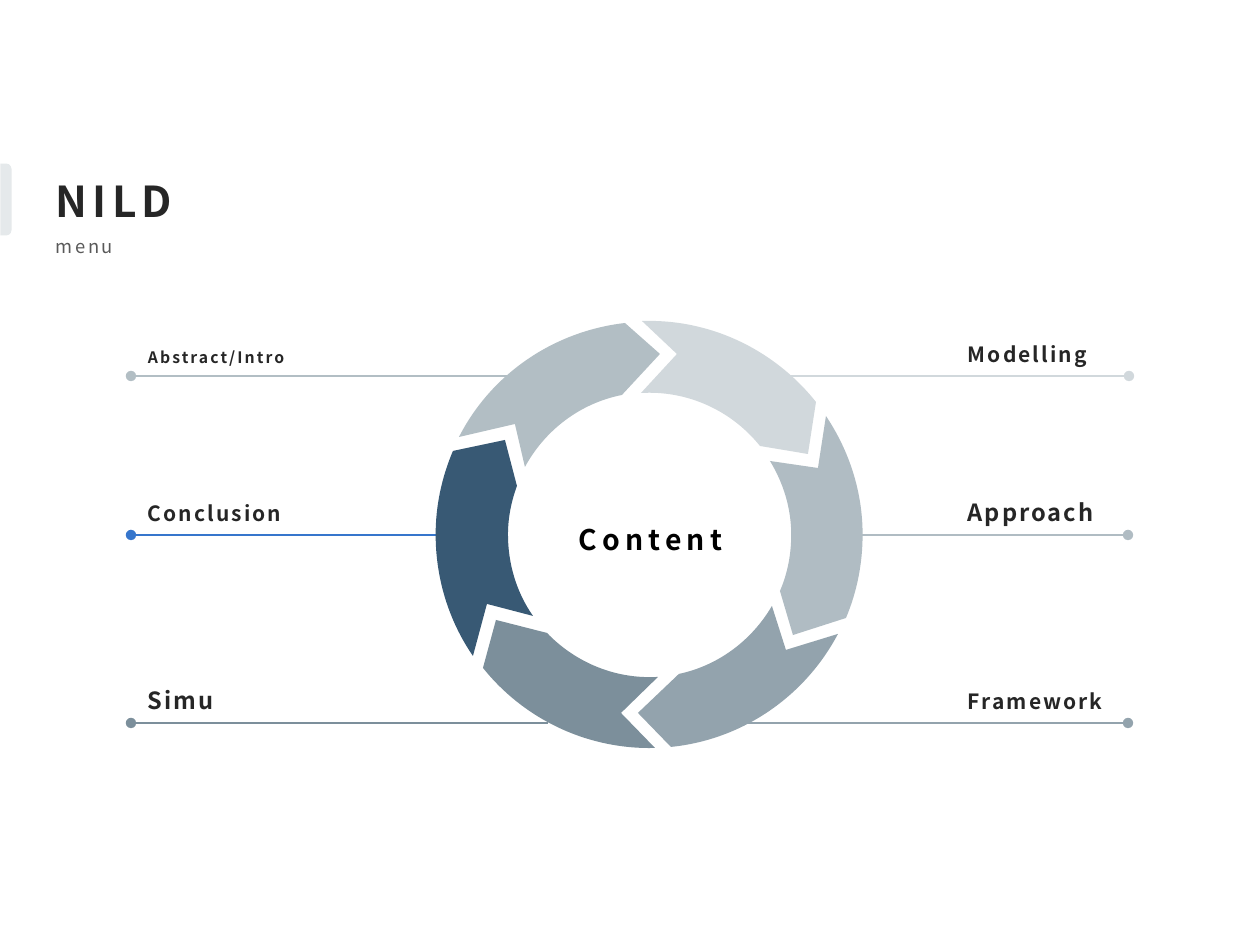
import math

from lxml import etree
from pptx import Presentation
from pptx.dml.color import RGBColor
from pptx.enum.shapes import MSO_CONNECTOR, MSO_SHAPE
from pptx.enum.text import MSO_ANCHOR, PP_ALIGN
from pptx.oxml.ns import qn
from pptx.util import Emu, Pt

STRAIGHT = MSO_CONNECTOR.STRAIGHT
TAB_SHAPE = MSO_SHAPE.ROUND_2_SAME_RECTANGLE
TOP, MIDDLE, BOTTOM = MSO_ANCHOR.TOP, MSO_ANCHOR.MIDDLE, MSO_ANCHOR.BOTTOM
LEFT, CENTER = PP_ALIGN.LEFT, PP_ALIGN.CENTER

PX = 914400 / 126
FONT = "Noto Sans CJK SC"
COLORS = {
    "intro": "B2BEC4",
    "modelling": "D1D8DC",
    "approach": "B0BCC3",
    "framework": "93A3AD",
    "simu": "7C8F9B",
    "conclusion": "385974",
    "conclusion_line": "3676CC",
    "tab": "E5E9EB",
    "dark": "262626",
    "grey": "595959",
    "black": "000000",
}

# Clockwise joints: (head of one arrow, tail of the next), each outer, tip, inner
JOINTS = [
    (((189, 2), (224, 33), (186, 74)), ((206, 0), (241, 33), (205, 72))),
    (((380, 81), (372, 133), (324, 125)), ((390, 95), (382, 147), (334, 140))),
    (((410, 297), (357, 314), (344, 270)), ((402, 313), (350, 329), (336, 285))),
    (((235, 426), (202, 392), (243, 353)), ((219, 427), (185, 392), (222, 356))),
    (((47, 347), (60, 299), (111, 312)), ((37, 335), (51, 283), (97, 295))),
    (((17, 130), (69, 119), (81, 165)), ((23, 116), (79, 103), (89, 146))),
]
SEGMENTS = ["intro", "modelling", "approach", "framework", "simu", "conclusion"]

# text, size, line colour, dot x, line y, line end x, label x
TOPICS = [
    ("Modelling", 12, "modelling", 1129, 376, 760, 959),
    ("Approach", 13.5, "approach", 1128, 535, 804, 959),
    ("Simu", 13.5, "simu", 131, 723, 548, 139),
    ("Conclusion", 12, "conclusion_line", 131, 535, 461, 139),
    ("Abstract/Intro", 9, "intro", 131, 376, 522, 139),
    ("Framework", 12, "framework", 1128, 723, 711, 959),
]


def px(value):
    return Emu(round(value * PX))


def paint(shape, color):
    shape.shadow.inherit = False
    shape.fill.solid()
    shape.fill.fore_color.rgb = RGBColor.from_string(COLORS[color])
    shape.line.fill.background()


def add_text(slide, box, text, size, color="dark", bold=True, spacing=1.2,
             anchor=BOTTOM, align=LEFT):
    frame = slide.shapes.add_textbox(*map(px, box)).text_frame
    layout = {
        "word_wrap": True, "vertical_anchor": anchor,
        "margin_left": px(9), "margin_right": px(9),
        "margin_top": px(5), "margin_bottom": px(5),
    }
    for name, value in layout.items():
        setattr(frame, name, value)
    paragraph = frame.paragraphs[0]
    paragraph.alignment = align
    run = paragraph.add_run()
    run.text = text
    for name, value in {"name": FONT, "size": Pt(size), "bold": bold}.items():
        setattr(run.font, name, value)
    run.font.color.rgb = RGBColor.from_string(COLORS[color])
    properties = run.font._element
    properties.set("spc", str(round(spacing * 100)))
    etree.SubElement(properties, qn("a:ea")).set("typeface", FONT)


def add_dotted_line(slide, dot_x, y, end_x, color):
    """Draw a level line that starts with a dot."""
    line = slide.shapes.add_connector(STRAIGHT, px(dot_x), px(y), px(end_x), px(y))
    line.line.color.rgb = RGBColor.from_string(COLORS[color])
    line.line.width = Pt(1.5)
    etree.SubElement(line.line._get_or_add_ln(), qn("a:headEnd")).set("type", "oval")
    etree.SubElement(line._element.spPr, qn("a:effectLst"))


def arc(start, end, center, clockwise):
    """Return cubic curves (two handles and an end), split at the axes."""
    (r1, a1), (r2, a2) = [
        (math.dist(p, (center, center)), math.atan2(p[1] - center, p[0] - center))
        for p in (start, end)
    ]
    sweep = (a2 - a1) % math.tau if clockwise else -((a1 - a2) % math.tau)
    quarters = (k * math.pi / 2 for k in range(-4, 9))
    splits = sorted(q for q in quarters if 0 < (q - a1) / sweep < 1)
    angles = [a1, *(splits if clockwise else splits[::-1]), a1 + sweep]

    def point(angle, handle=0):
        radius = r1 + (r2 - r1) * (angle - a1) / sweep
        across, along = radius, radius * handle
        return (center + across * math.cos(angle) - along * math.sin(angle),
                center + across * math.sin(angle) + along * math.cos(angle))

    curves = []
    for first, last in zip(angles, angles[1:]):
        handle = 4 / 3 * math.tan((last - first) / 4)
        curves.append([point(first, handle), point(last, -handle), point(last)])
    return curves


def add_curved_outline(slide, start, steps):
    """Draw a closed outline; a step of one point is a line, of three a curve."""
    builder = slide.shapes.build_freeform(*map(px, start), scale=1.0)
    points = [(px(x), px(y)) for step in steps for x, y in step]
    builder.add_line_segments(points, close=True)
    shape = builder.convert_to_shape()
    lines = iter(list(shape._element.iter(qn("a:lnTo"))))
    for step in steps:
        parts = [next(lines) for _ in step]
        if len(parts) == 3:
            curve = etree.Element(qn("a:cubicBezTo"))
            parts[0].addprevious(curve)
            for part in parts:
                curve.append(part[0])
                part.getparent().remove(part)
    return shape


def add_ring(slide, left, top, size):
    center = size / 2
    for index, color in enumerate(SEGMENTS):
        tail, head = JOINTS[index - 1][1], JOINTS[index][0]
        steps = [
            *arc(tail[0], head[0], center, True),
            [head[1]],
            [head[2]],
            *arc(head[2], tail[2], center, False),
            [tail[1]],
        ]
        placed = [[(left + x, top + y) for x, y in step] for step in steps]
        start = (left + tail[0][0], top + tail[0][1])
        paint(add_curved_outline(slide, start, placed), color)
    add_text(slide, (left + 127, top + 194, 175, 49), "Content", 16.2, "black",
             spacing=3, anchor=MIDDLE, align=CENTER)


def add_heading(slide, left, top, width):
    tab = slide.shapes.add_shape(TAB_SHAPE, px(left - 77), px(top + 30), px(72), px(11))
    tab.rotation = 90
    tab.adjustments[0], tab.adjustments[1] = 0.5, 0
    paint(tab, "tab")
    add_text(slide, (left, top + 66, width, 44), "menu", 10.5, "grey",
             bold=False, spacing=1.5, anchor=TOP)
    add_text(slide, (left, top, width, 67), "NILD", 24.3, spacing=3)


def main():
    presentation = Presentation()
    presentation.slide_width, presentation.slide_height = px(1260), px(945)
    slide = presentation.slides.add_slide(presentation.slide_layouts[6])
    for _, _, color, dot_x, y, end_x, _ in TOPICS:
        add_dotted_line(slide, dot_x, y, end_x, color)
    add_ring(slide, 436, 321, 427)
    for text, size, _, _, y, _, label_x in TOPICS:
        add_text(slide, (label_x, y - 44, 163, 40), text, size)
    add_heading(slide, 47, 164, 529)
    presentation.save("out.pptx")


if __name__ == "__main__":
    main()
